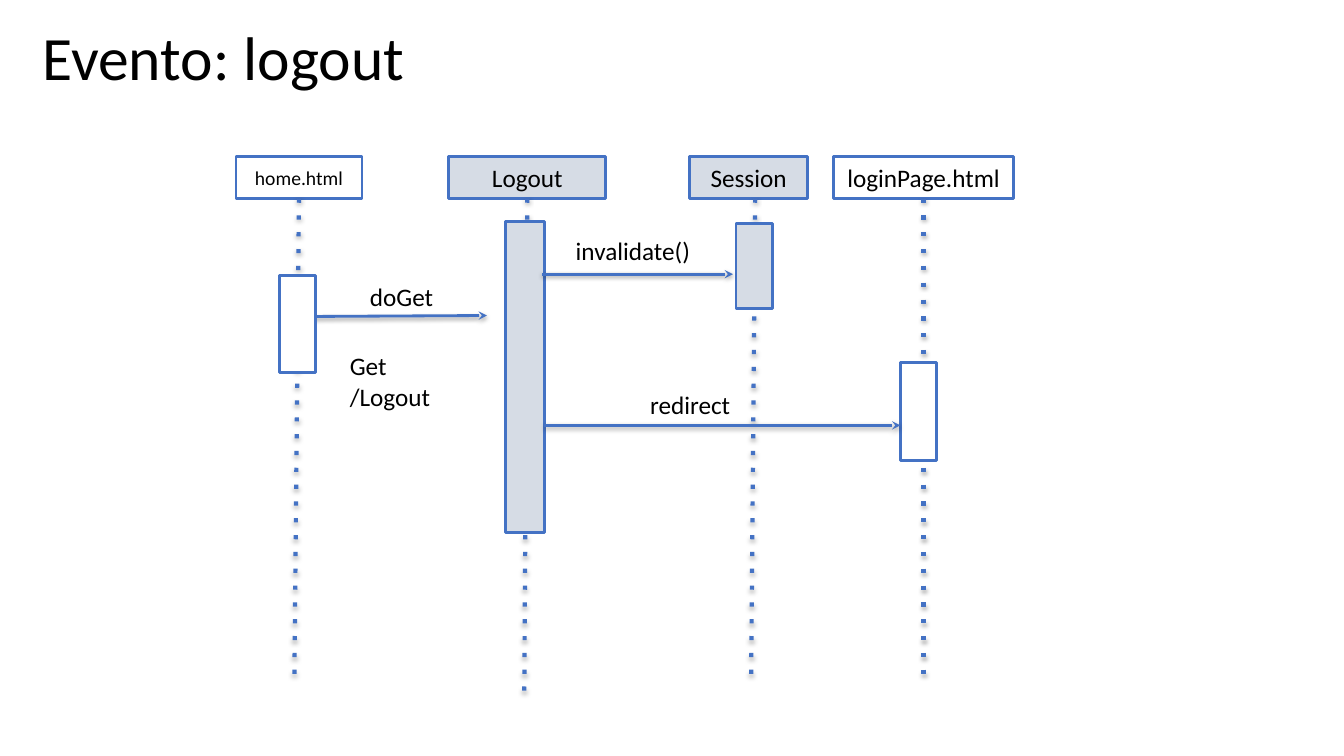
from dataclasses import dataclass

from lxml import etree
from pptx import Presentation
from pptx import util as u
from pptx.dml.color import RGBColor
from pptx.enum import shapes, text
from pptx.oxml import ns
from pptx.shapes.autoshape import Shape
from pptx.shapes.connector import Connector
from pptx.slide import Slide

PX = 9144
FONT = "Calibri"
BLACK, BLUE, GREY, WHITE = "000000", "4472C4", "D6DCE5", "FFFFFF"
HEADER_TOP, HEADER_HEIGHT = 155, 42
HEADER_BOTTOM = HEADER_TOP + HEADER_HEIGHT


@dataclass(frozen=True)
class Box:
    left: int
    top: int
    width: int
    height: int


@dataclass(frozen=True)
class Participant:
    name: str
    left: int
    width: int
    fill: str
    life_start: int
    life_end: tuple[int, int]
    activation: Box
    size: int = 18


@dataclass(frozen=True)
class Message:
    start: tuple[int, int]
    end: tuple[int, int]


@dataclass(frozen=True)
class Label:
    lines: str
    box: Box
    size: int = 18
    centred: bool = False
    anchor: text.MSO_ANCHOR = text.MSO_ANCHOR.TOP
    spacing: float = 1.0


SERVED = (
    Participant("Logout", 445, 156, GREY, 523, (520, 688), Box(501, 220, 39, 308)),
    Participant("Session", 684, 117, GREY, 749, (745, 672), Box(730, 222, 36, 84)),
    Participant("loginPage.html", 827, 178, WHITE, 916, (916, 672), Box(893, 360, 36, 97)),
)
HOME = Participant("home.html", 234, 125, WHITE, 296, (292, 672), Box(277, 273, 36, 97), 14)
MESSAGES = (
    Message((306, 314), (483, 313)),
    Message((538, 272), (727, 272)),
    Message((540, 422), (893, 422)),
)
LABELS = (
    Label("Evento: logout", Box(30, 5, 975, 110), 44, anchor=text.MSO_ANCHOR.MIDDLE, spacing=0.9),
    Label("doGet", Box(355, 273, 124, 40)),
    Label("Get\n/Logout", Box(335, 342, 137, 75)),
    Label("redirect", Box(559, 380, 251, 37), centred=True),
    Label("invalidate()", Box(559, 227, 190, 34)),
)


def px(length: int) -> u.Emu:
    return u.Emu(length * PX)


def colour(value: str) -> RGBColor:
    return RGBColor.from_string(value)


def place(box: Box) -> tuple[u.Emu, u.Emu, u.Emu, u.Emu]:
    return px(box.left), px(box.top), px(box.width), px(box.height)


def write(holder: Shape, label: Label) -> None:
    frame = holder.text_frame
    frame.word_wrap = True
    frame.vertical_anchor = label.anchor
    frame.margin_left = frame.margin_right = px(12)
    frame.margin_top = frame.margin_bottom = px(6)
    frame.text = label.lines
    for paragraph in frame.paragraphs:
        paragraph.alignment = text.PP_ALIGN.CENTER if label.centred else text.PP_ALIGN.LEFT
        paragraph.line_spacing = label.spacing
        paragraph.font.name = FONT
        paragraph.font.size = u.Pt(label.size)
        paragraph.font.color.rgb = colour(BLACK)


def draw_box(slide: Slide, box: Box, fill: str) -> Shape:
    rectangle = slide.shapes.add_shape(shapes.MSO_SHAPE.RECTANGLE, *place(box))
    rectangle.shadow.inherit = False
    rectangle.fill.solid()
    rectangle.fill.fore_color.rgb = colour(fill)
    rectangle.line.color.rgb = colour(BLUE)
    rectangle.line.width = u.Pt(2)
    return rectangle


def add_shadow(connector: Connector, distance: int, opacity: int) -> None:
    effects = etree.SubElement(connector._element.spPr, ns.qn("a:effectLst"))
    shadow = etree.SubElement(
        effects, ns.qn("a:outerShdw"),
        blurRad="40000", dist=str(distance), dir="5400000", rotWithShape="0",
    )
    black = etree.SubElement(shadow, ns.qn("a:srgbClr"), val=BLACK)
    etree.SubElement(black, ns.qn("a:alpha"), val=str(opacity * 1000))


def draw_line(
    slide: Slide, start: tuple[int, int], end: tuple[int, int], width: int
) -> Connector:
    connector = slide.shapes.add_connector(
        shapes.MSO_CONNECTOR.STRAIGHT, *map(px, start + end)
    )
    connector.line.color.rgb = colour(BLUE)
    connector.line.width = u.Pt(width)
    return connector


def draw_participant(slide: Slide, participant: Participant) -> None:
    box = Box(participant.left, HEADER_TOP, participant.width, HEADER_HEIGHT)
    header = draw_box(slide, box, participant.fill)
    write(header, Label(participant.name, box, participant.size, True, text.MSO_ANCHOR.MIDDLE))

    start = (participant.life_start, HEADER_BOTTOM)
    lifeline = draw_line(slide, start, participant.life_end, 3)
    if abs(participant.life_start - box.left - box.width / 2) < 1:
        lifeline.begin_connect(header, 2)
    etree.SubElement(lifeline.line._ln, ns.qn("a:prstDash"), val="dot")
    add_shadow(lifeline, 23000, 35)

    draw_box(slide, participant.activation, participant.fill)


def draw_message(slide: Slide, message: Message) -> None:
    arrow = draw_line(slide, message.start, message.end, 2)
    etree.SubElement(arrow.line._ln, ns.qn("a:tailEnd"), type="stealth")
    add_shadow(arrow, 20000, 38)


def draw_label(slide: Slide, label: Label) -> None:
    write(slide.shapes.add_textbox(*place(label.box)), label)


def main() -> None:
    deck = Presentation()
    deck.slide_width, deck.slide_height = px(1333), px(750)
    slide = deck.slides.add_slide(deck.slide_layouts[6])
    for participant in SERVED:
        draw_participant(slide, participant)
    for message in MESSAGES:
        draw_message(slide, message)
    draw_participant(slide, HOME)
    for label in LABELS:
        draw_label(slide, label)
    deck.save("out.pptx")


if __name__ == "__main__":
    main()
